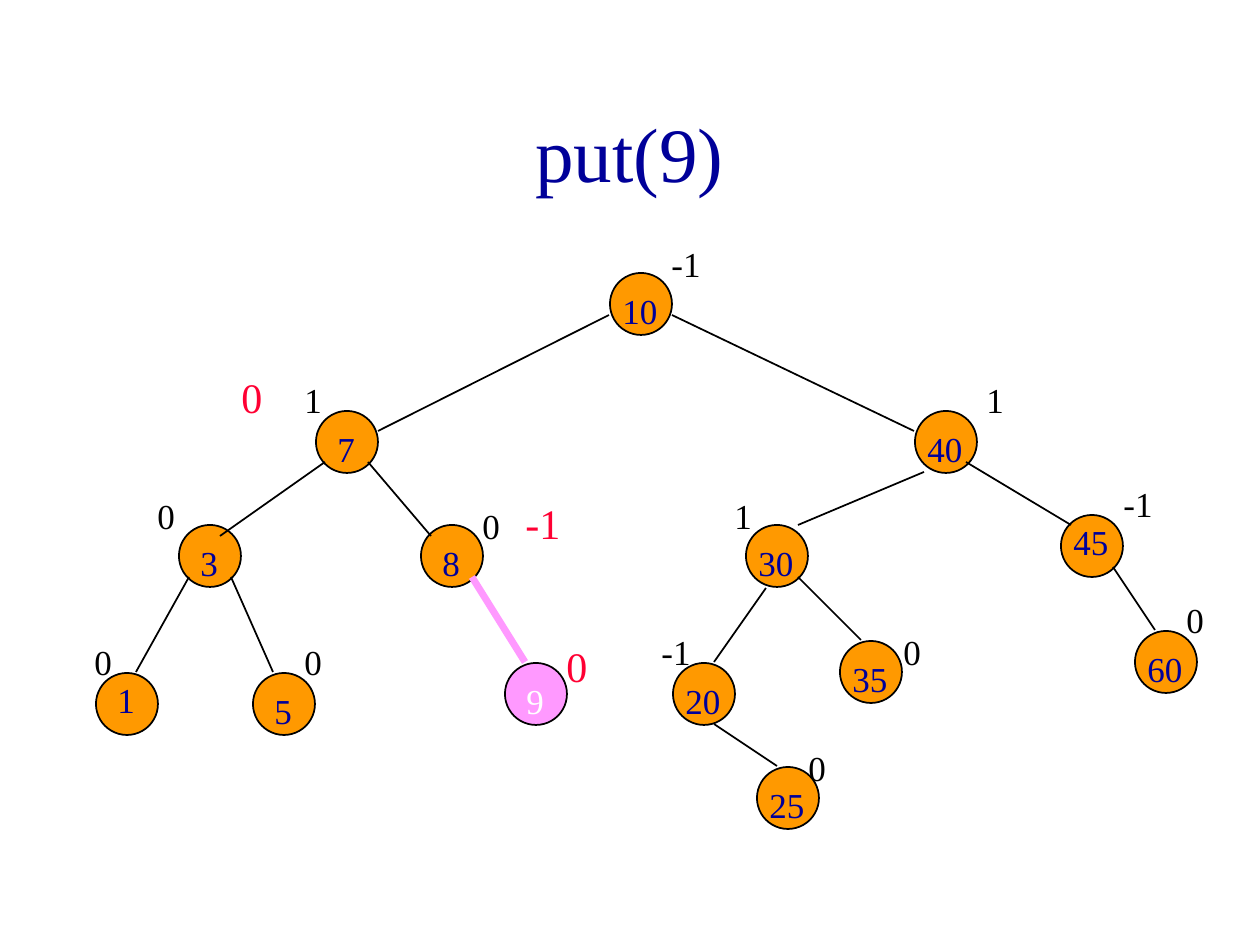
from pptx import Presentation
from pptx import util as u
from pptx.dml.color import RGBColor
from pptx.enum import shapes, text
from pptx.oxml.ns import qn

SCALE = u.Inches(1) / 126
FONT = "Times New Roman"
BLACK, NAVY, WHITE, RED = "000000", "000099", "FFFFFF", "FF0033"
ORANGE, PINK = "FF9900", "FF99FF"
DIAMETER = 62

NODES = [
    ("10", 610, 273), ("7", 316, 411), ("40", 915, 411), ("3", 179, 525),
    ("8", 421, 525), ("30", 746, 525), ("1", 96, 673), ("5", 253, 673),
    ("20", 673, 663), ("25", 757, 767), ("35", 840, 641),
    ("45", 1061, 515), ("60", 1135, 631), ("9", 505, 663),
]
NEW_KEY = "9"
RAISED_KEYS = {"1", "45"}

EDGES = [
    (609, 315, 378, 431), (672, 315, 914, 431), (325, 462, 220, 536),
    (368, 462, 431, 536), (924, 472, 798, 525), (189, 577, 136, 672),
    (231, 577, 273, 672), (766, 588, 714, 662), (714, 724, 777, 766),
    (798, 577, 861, 640), (966, 462, 1071, 525), (1113, 567, 1155, 630),
]
NEW_EDGE = (472, 577, 525, 662)

BALANCES = [
    ("0", 82, 634), ("0", 292, 634), ("0", 145, 488), ("0", 470, 498),
    ("1", 292, 372), ("0", 796, 740), ("-1", 649, 624), ("0", 891, 624),
    ("1", 722, 488), ("0", 1174, 592), ("-1", 1111, 476), ("1", 974, 372),
    ("-1", 659, 236),
]
NEW_BALANCES = [("0", 554, 634), ("-1", 513, 491), ("0", 229, 365)]


def px(*lengths):
    return [u.Emu(round(length * SCALE)) for length in lengths]


def color(value):
    return RGBColor.from_string(value)


def format_text(paragraph, size, hue):
    for run in paragraph.runs:
        run.font.name = FONT
        run.font.size = u.Pt(size)
        run.font.color.rgb = color(hue)


def add_title(slide, wording):
    title = slide.shapes.title
    title.left, title.top, title.width, title.height = px(94, 73, 1071, 158)
    frame = title.text_frame
    frame.text = wording
    frame.vertical_anchor = text.MSO_ANCHOR.MIDDLE
    frame.paragraphs[0].alignment = text.PP_ALIGN.CENTER
    format_text(frame.paragraphs[0], 44, NAVY)


def add_text(slide, wording, box, size, hue, wrap=False):
    frame = slide.shapes.add_textbox(*px(*box)).text_frame
    frame.text = wording
    frame.word_wrap = wrap
    frame.auto_size = text.MSO_AUTO_SIZE.SHAPE_TO_FIT_TEXT
    format_text(frame.paragraphs[0], size, hue)
    return frame


def add_node(slide, key, left, top):
    circle = slide.shapes.add_shape(
        shapes.MSO_SHAPE.OVAL, *px(left, top, DIAMETER, DIAMETER))
    circle.shadow.inherit = False
    circle.fill.solid()
    circle.fill.fore_color.rgb = color(PINK if key == NEW_KEY else ORANGE)
    circle.line.color.rgb = color(BLACK)
    circle.line.width = u.Pt(1)


def add_key(slide, key, left, top):
    indent = 9 if len(key) == 1 else 0
    drop = -1 if key in RAISED_KEYS else 10
    hue = WHITE if key == NEW_KEY else NAVY
    frame = add_text(slide, key, (left + indent, top + drop, 63, 54), 20, hue, True)
    frame.paragraphs[0].space_before = u.Pt(12.5)


def add_edge(slide, ends, hue=BLACK, width=1):
    edge = slide.shapes.add_connector(shapes.MSO_CONNECTOR.STRAIGHT, *px(*ends))
    edge.line.color.rgb = color(hue)
    edge.line.width = u.Pt(width)
    properties = edge._element.spPr
    properties.append(properties.makeelement(qn("a:effectLst"), {}))


def main():
    presentation = Presentation()
    presentation.slide_width, presentation.slide_height = px(1260, 945)
    slide = presentation.slides.add_slide(presentation.slide_layouts[5])
    add_title(slide, "put(9)")
    for node in NODES:
        add_node(slide, *node)
    for ends in EDGES:
        add_edge(slide, ends)
    add_edge(slide, NEW_EDGE, PINK, 4)
    for balance, left, top in BALANCES:
        add_text(slide, balance, (left, top, 32 + 11 * len(balance), 54), 20, BLACK)
    for balance, left, top in NEW_BALANCES:
        add_text(slide, balance, (left, top, 34 + 13 * len(balance), 63), 24, RED)
    for node in NODES:
        add_key(slide, *node)
    presentation.save("out.pptx")


if __name__ == "__main__":
    main()
